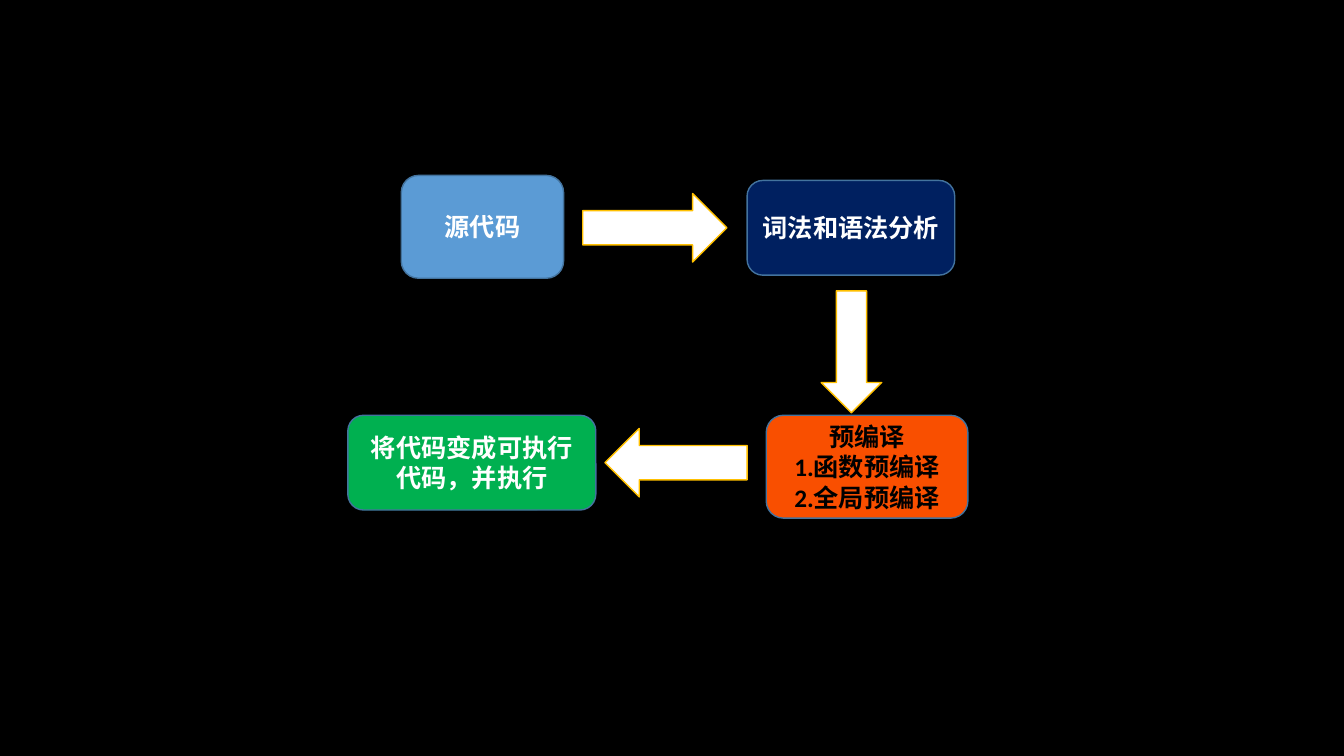
from pptx import Presentation
from pptx.dml.color import RGBColor
from pptx.enum.shapes import MSO_SHAPE
from pptx.enum.text import MSO_ANCHOR, PP_ALIGN
from pptx.util import Inches, Pt


def paint(color_format, color):
    color_format.rgb = RGBColor.from_string(color)


def add_block(kind, position, fill, line, text="", size=18, color="FFFFFF", font="Calibri", bold=True):
    shape = slide.shapes.add_shape(kind, *[Inches(length) for length in position])
    shape.shadow.inherit = False
    shape.fill.solid()
    paint(shape.fill.fore_color, fill)
    paint(shape.line.color, line)
    shape.line.width = Pt(1)
    if text:
        frame = shape.text_frame
        frame.word_wrap = True
        frame.vertical_anchor = MSO_ANCHOR.MIDDLE
        frame.text = text
        for paragraph in frame.paragraphs:
            paragraph.alignment = PP_ALIGN.CENTER
            paragraph.font.size = Pt(size)
            paragraph.font.name = font
            paragraph.font.bold = bold
            paint(paragraph.font.color, color)
    return shape


presentation = Presentation()
presentation.slide_width = Inches(13.33)
presentation.slide_height = Inches(7.5)
slide = presentation.slides.add_slide(presentation.slide_layouts[6])
slide.background.fill.solid()
paint(slide.background.fill.fore_color, "000000")

steps = [
    ("源代码", (3.98, 1.74, 1.61, 1.02), "5B9BD5", "FFFFFF"),
    ("词法和语法分析", (7.41, 1.79, 2.06, 0.94), "002060", "FFFFFF"),
    ("预编译\n1.函数预编译\n2.全局预编译", (7.6, 4.12, 2, 1.02), "F94F00", "000000"),
    ("将代码变成可执行代码，并执行", (3.45, 4.12, 2.46, 0.94), "00B050", "FFFFFF"),
]
for text, position, fill, color in steps:
    add_block(MSO_SHAPE.ROUNDED_RECTANGLE, position, fill, "43739E", text, color=color)

arrows = [
    ((5.78, 1.92, 1.43, 0.68), 0),
    ((7.84, 3.19, 1.21, 0.6), 90),
    ((6, 4.25, 1.41, 0.68), 180),
]
for position, rotation in arrows:
    arrow = add_block(MSO_SHAPE.RIGHT_ARROW, position, "FFFFFF", "FFC000")
    arrow.rotation = rotation

presentation.save("out.pptx")
